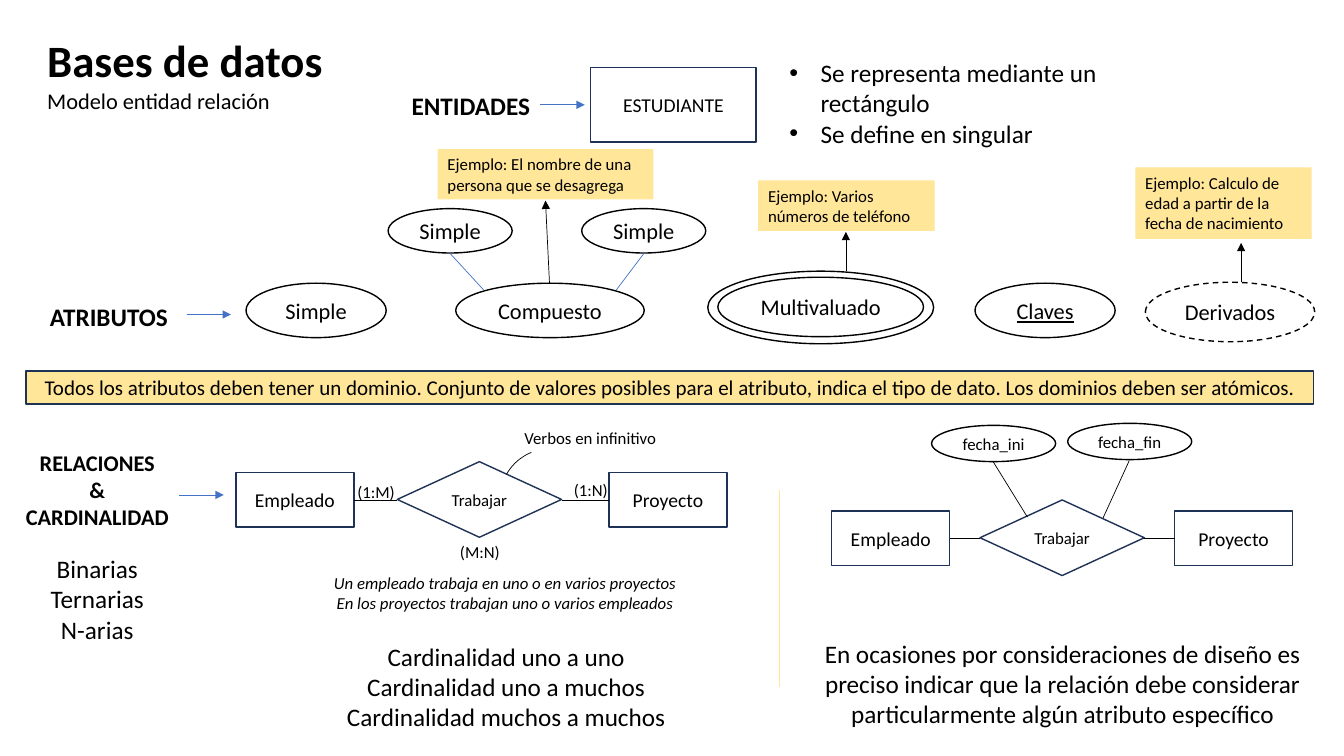
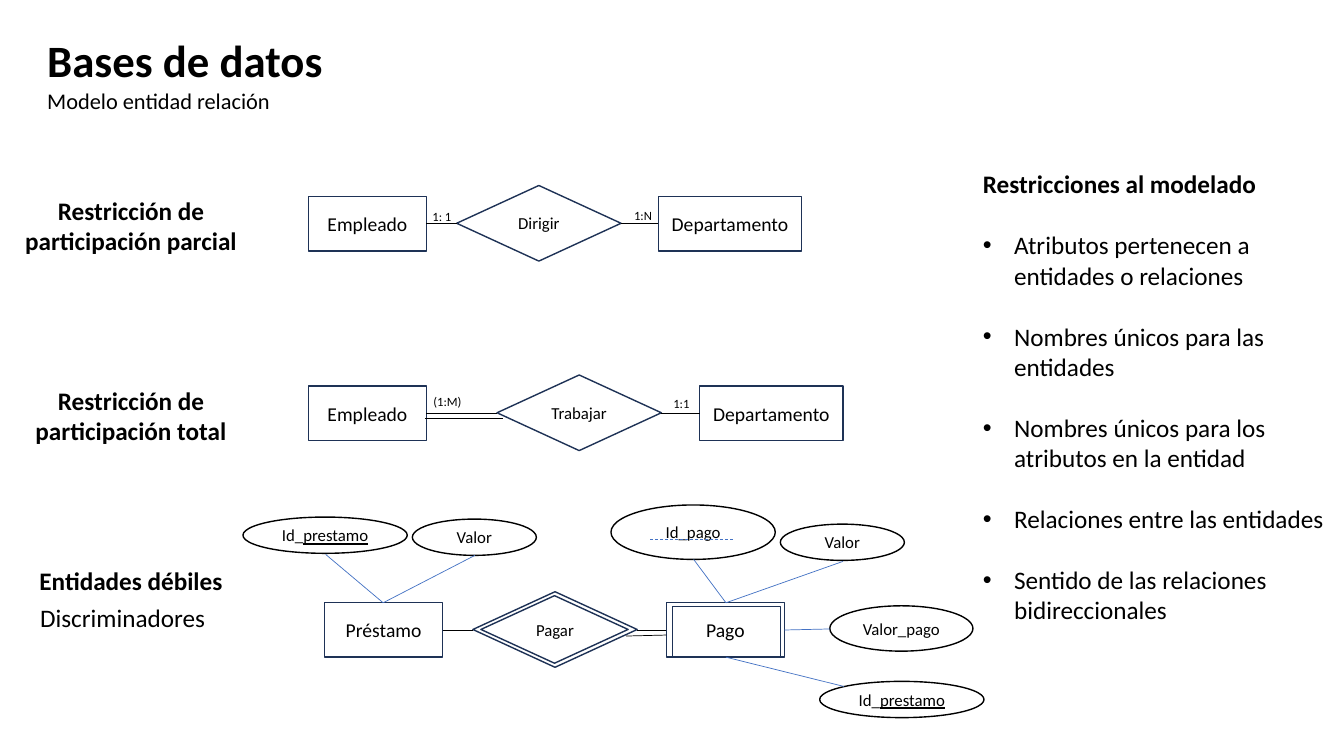
from pptx import Presentation
from pptx import util as u
from pptx.dml.color import RGBColor
from pptx.enum import dml, shapes, text
from pptx.oxml.ns import qn
from lxml import etree

HUES = {"ink": "000000", "navy": "1E3256", "blue": "4472C4", "sand": "FFE699"}
FONT = "Calibri"
KIND = shapes.MSO_SHAPE
RECT, OVAL, ROMB = KIND.RECTANGLE, KIND.OVAL, KIND.FLOWCHART_DECISION
SIDE = {"l": text.PP_ALIGN.LEFT, "c": text.PP_ALIGN.CENTER}
DASH = dml.MSO_LINE.DASH


def box(page, at, lines="", kind=None, size=18, bold=False, ital=False, under=False,
        side="c", mid=True, fill=None, edge=None, dash=False, gap=0, dots=False):
    """Add a text box, or a shape of the given kind. A line is a string
    or a list of (string, format) runs; format overrides the keywords."""
    spot = [u.Inches(n) for n in at]
    if kind is None:
        item = page.shapes.add_textbox(*spot)
    else:
        item = page.shapes.add_shape(kind, *spot)
        item.shadow.inherit = False
        if fill:
            item.fill.solid()
            item.fill.fore_color.rgb = RGBColor.from_string(HUES[fill])
        else:
            item.fill.background()
        if edge:
            item.line.color.rgb = RGBColor.from_string(HUES[edge])
            item.line.width = u.Pt(1)
        else:
            item.line.fill.background()
        if dash:
            item.line.dash_style = DASH
    if not lines:
        return item
    frame = item.text_frame
    frame.word_wrap = True
    frame.vertical_anchor = text.MSO_ANCHOR.TOP
    if kind is not None and mid:
        frame.vertical_anchor = text.MSO_ANCHOR.MIDDLE
        frame.margin_left = frame.margin_right = 0
    base = {"size": size, "bold": bold, "ital": ital, "under": under}
    for i, line in enumerate(lines.split("\n") if isinstance(lines, str) else lines):
        para = frame.add_paragraph() if i else frame.paragraphs[0]
        para.alignment = SIDE[side]
        if i and gap:
            para.space_before = u.Pt(gap)
        if dots:
            props = para._p.get_or_add_pPr()
            props.set("marL", str(u.Inches(0.31)))
            props.set("indent", str(-u.Inches(0.31)))
            etree.SubElement(props, qn("a:buFont")).set("typeface", "Arial")
            etree.SubElement(props, qn("a:buChar")).set("char", "•")
        for words, own in [(line, {})] if isinstance(line, str) else line:
            look = base | own
            run = para.add_run()
            run.text = words
            font = run.font
            font.name, font.size = FONT, u.Pt(look["size"])
            font.bold, font.italic = look["bold"], look["ital"]
            font.underline = look["under"]
            font.color.rgb = RGBColor.from_string(HUES["ink"])
    return item


def join(page, ends, hue="ink", tip=False, dash=False):
    """Draw a line through ends (x1, y1, x2, y2), with an arrowhead if tip."""
    link = page.shapes.add_connector(
        shapes.MSO_CONNECTOR.STRAIGHT, *[u.Inches(n) for n in ends])
    link.line.color.rgb = RGBColor.from_string(HUES[hue])
    link.line.width = u.Pt(0.5)
    if dash:
        link.line.dash_style = DASH
    if tip:
        pen = link.line._get_or_add_ln()
        etree.SubElement(pen, qn("a:tailEnd")).set("type", "triangle")
    etree.SubElement(link._element.spPr, qn("a:effectLst"))


deck = Presentation()
deck.slide_width, deck.slide_height = u.Inches(13.33), u.Inches(7.5)
pages = [deck.slides.add_slide(deck.slide_layouts[6]) for _ in range(2)]
for page in pages:
    box(page, (0.37, 0.28, 7.41, 0.91),
        [[("Bases de datos", {"size": 32, "bold": True})], "Modelo entidad relación"],
        size=16, side="l")
one, two = pages

# Slide 1: entities
box(one, (5.86, 0.67, 1.64, 0.74), "ESTUDIANTE", RECT, size=14, edge="navy")
box(one, (7.73, 0.52, 4.08, 1.01),
    "Se representa mediante un rectángulo\nSe define en singular", side="l", dots=True)

# Section labels and their arrows
for at, label, size in [
    ((3.9, 0.85, 1.54, 0.4), "ENTIDADES", 18),
    ((0.31, 2.94, 1.54, 0.4), "ATRIBUTOS", 18),
    ((0.06, 4.41, 1.81, 0.91), "RELACIONES\n&\nCARDINALIDAD", 16),
]:
    box(one, at, label, size=size, bold=True)
for x, y in [(5.36, 1.04), (1.85, 3.12), (1.78, 4.91)]:
    join(one, (x, y, x + 0.44, y), "blue", tip=True)

# Attributes
for at, label in [
    ((2.44, 2.81, 1.39, 0.54), "Simple"),
    ((4.52, 2.81, 1.87, 0.54), "Compuesto"),
    ((3.85, 2.07, 1.23, 0.44), "Simple"),
    ((5.77, 2.07, 1.23, 0.44), "Simple"),
    ((7.12, 2.75, 2.04, 0.59), "Multivaluado"),
    ((7.02, 2.69, 2.24, 0.72), ""),
    ((9.67, 2.81, 1.39, 0.54), "Claves"),
    ((11.36, 2.8, 1.68, 0.59), "Derivados"),
]:
    box(one, at, label, OVAL, size=16, edge="ink",
        under=label == "Claves", dash=label == "Derivados")
for ends in [(4.46, 2.51, 4.8, 2.88), (6.39, 2.51, 6.11, 2.88)]:
    join(one, ends, "blue")

# Examples
for at, label, ends in [
    ((4.34, 1.48, 2.14, 0.5), "El nombre de una persona que se desagrega",
     (5.45, 2.81, 5.41, 1.99)),
    ((7.52, 1.79, 1.75, 0.5), "Varios números de teléfono", (8.39, 2.69, 8.39, 2.3)),
    ((11.26, 1.66, 1.75, 0.71), "Calculo de edad a partir de la fecha de nacimiento",
     (12.31, 2.8, 12.31, 2.41)),
]:
    box(one, at, "Ejemplo: " + label, RECT, size=12, side="l", mid=False, fill="sand")
    join(one, ends, tip=True)

box(one, (0.26, 3.68, 12.77, 0.33),
    "Todos los atributos deben tener un dominio. Conjunto de valores posibles para "
    "el atributo, indica el tipo de dato. Los dominios deben ser atómicos.",
    RECT, size=15, fill="sand", edge="navy")

# Relations on both slides: left entity, diamond, right entity
for page, x, y, left, verb, romb, right, end, wide in [
    (one, 2.34, 4.69, "Empleado", "Trabajar", 3.94, "Proyecto", 6.04, 1.17),
    (one, 8.25, 5.07, "Empleado", "Trabajar", 9.72, "Proyecto", 11.65, 1.17),
    (two, 3.06, 1.95, "Empleado", "Dirigir", 4.53, "Departamento", 6.53, 1.42),
    (two, 3.06, 3.83, "Empleado", "Trabajar", 4.93, "Departamento", 6.94, 1.42),
    (two, 3.22, 5.98, "Préstamo", "Pagar", 4.69, "Pago", 6.61, 1.17),
]:
    axis = y + 0.27
    box(page, (x, y, 1.17, 0.54), left, RECT, size=14, edge="navy")
    box(page, (romb, y - 0.11, 1.63, 0.75), verb, ROMB, size=12, edge="navy")
    box(page, (end, y, wide, 0.54), right, RECT, size=14, edge="navy")
    join(page, (x + 1.17, axis, romb, axis))
    join(page, (romb + 1.63, axis, end, axis))

# Slide 1: relation notes
arc = box(one, (4.96, 4.45, 1, 1), kind=KIND.ARC, edge="ink")
arc.adjustments[0], arc.adjustments[1] = 162, 185
arc.rotation = 299.4
arc.line.width = u.Pt(0.5)
for at, label in [
    ((5.04, 4.19, 1.63, 0.3), "Verbos en infinitivo"),
    ((3.44, 4.73, 0.58, 0.3), "(1:M)"),
    ((5.57, 4.71, 0.58, 0.3), "(1:N)"),
    ((4.44, 5.33, 0.64, 0.3), "(M:N)"),
]:
    box(one, at, label, size=12)
box(one, (2.76, 5.63, 4.5, 0.58),
    "Un empleado trabaja en uno o en varios proyectos\n"
    "En los proyectos trabajan uno o varios empleados", size=12, ital=True)
for at, label, ends in [
    ((9.24, 4.22, 1.23, 0.36), "fecha_ini", (9.85, 4.58, 10.19, 5.13)),
    ((10.59, 4.2, 1.23, 0.36), "fecha_fin", (11.2, 4.57, 10.94, 5.14)),
]:
    box(one, at, label, OVAL, size=12, edge="ink")
    join(one, ends)
for at, label in [
    ((0.15, 5.44, 1.63, 1.01), "Binarias\nTernarias\nN-arias"),
    ((2.29, 6.31, 5.46, 1.01),
     "Cardinalidad uno a uno\nCardinalidad uno a muchos\nCardinalidad muchos a muchos"),
    ((7.81, 6.28, 5.46, 1.01),
     "En ocasiones por consideraciones de diseño es preciso indicar que la relación "
     "debe considerar particularmente algún atributo específico"),
]:
    box(one, at, label)
join(one, (7.73, 4.86, 7.73, 6.82), "sand")

# Slide 2: row labels
for y, label in [
    (1.89, "Restricción de participación parcial"),
    (3.77, "Restricción de participación total"),
    (5.56, "Entidades débiles"),
]:
    box(two, (0.1, y, 2.4, 0.71), label, bold=True)
box(two, (0.3, 5.93, 1.9, 0.4), "Discriminadores", side="l")
for x, y, label in [(4.19, 2.02, "1: 1"), (6.19, 2.01, "1:N"),
                    (4.2, 3.86, "(1:M)"), (6.58, 3.88, "1:1")]:
    box(two, (x, y, 0.55, 0.25), label, size=9, side="l")

# Second strokes of total participation and weak entities
join(two, (4.22, 4.15, 4.99, 4.15))
join(two, (6.21, 6.31, 6.61, 6.3))
box(two, (4.77, 5.91, 1.46, 0.67), kind=ROMB, edge="navy")
box(two, (6.67, 6.02, 1.07, 0.5), kind=RECT, edge="navy")

# Attributes of the weak entities
key = [[("Id_", {}), ("prestamo", {"under": True})]]
for at, label, ends in [
    ((2.41, 5.13, 1.63, 0.36), key, (3.23, 5.5, 3.8, 5.98)),
    ((4.09, 5.15, 1.23, 0.36), "Valor", (4.71, 5.51, 3.8, 5.98)),
    ((6.06, 5.01, 1.63, 0.54), "Id_pago", (6.88, 5.55, 7.2, 5.98)),
    ((7.74, 5.2, 1.23, 0.36), "Valor", (8.36, 5.57, 7.2, 5.98)),
    ((8.23, 6.01, 1.42, 0.45), "Valor_pago", (8.23, 6.24, 7.78, 6.25)),
    ((8.13, 6.76, 1.63, 0.36), key, (8.37, 6.81, 7.2, 6.52)),
]:
    box(two, at, label, OVAL, size=12, edge="ink")
    join(two, ends, "blue")
join(two, (6.45, 5.35, 7.27, 5.35), "blue", dash=True)

# Modelling rules
box(two, (9.65, 1.62, 3.68, 0.4), "Restricciones al modelado", side="l", bold=True)
box(two, (9.65, 2.23, 3.68, 4.34),
    "Atributos pertenecen a entidades o relaciones\n"
    "Nombres únicos para las entidades\n"
    "Nombres únicos para los atributos en la entidad\n"
    "Relaciones entre las entidades\n"
    "Sentido de las relaciones bidireccionales", side="l", gap=22, dots=True)

deck.save("out.pptx")
